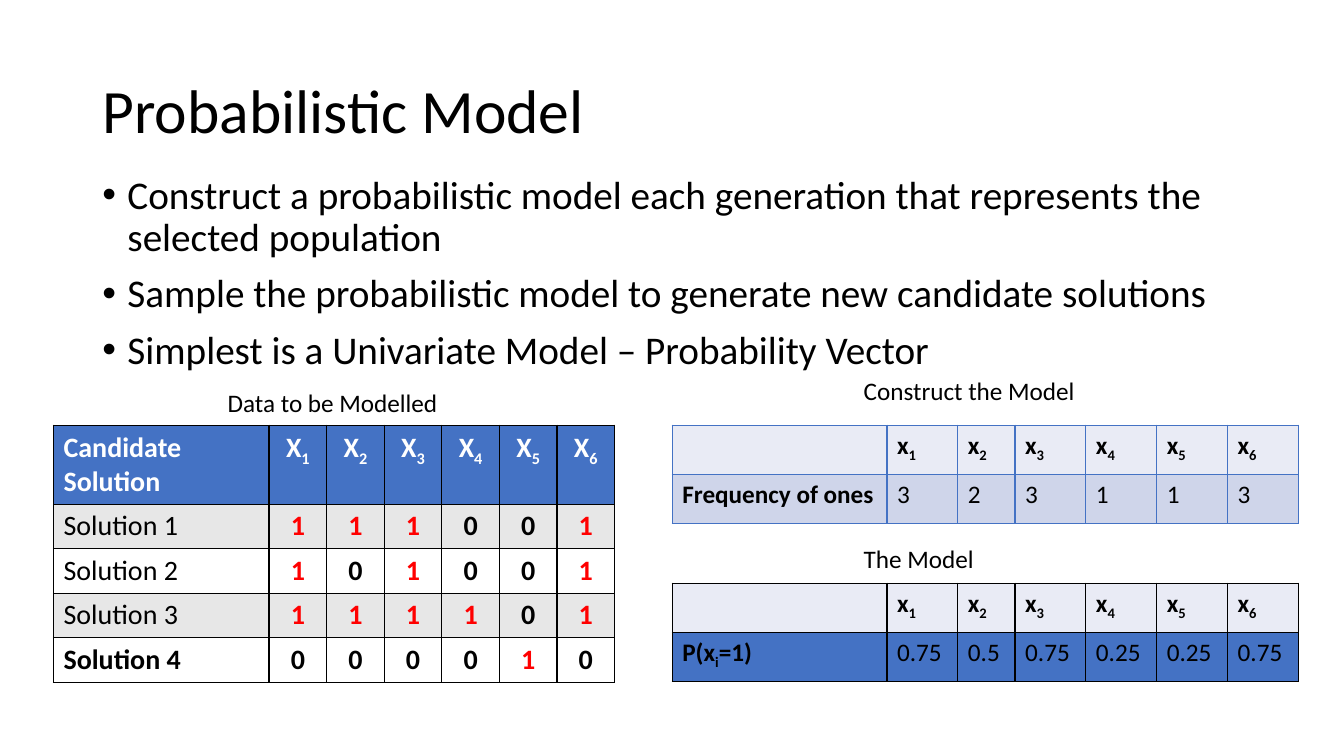
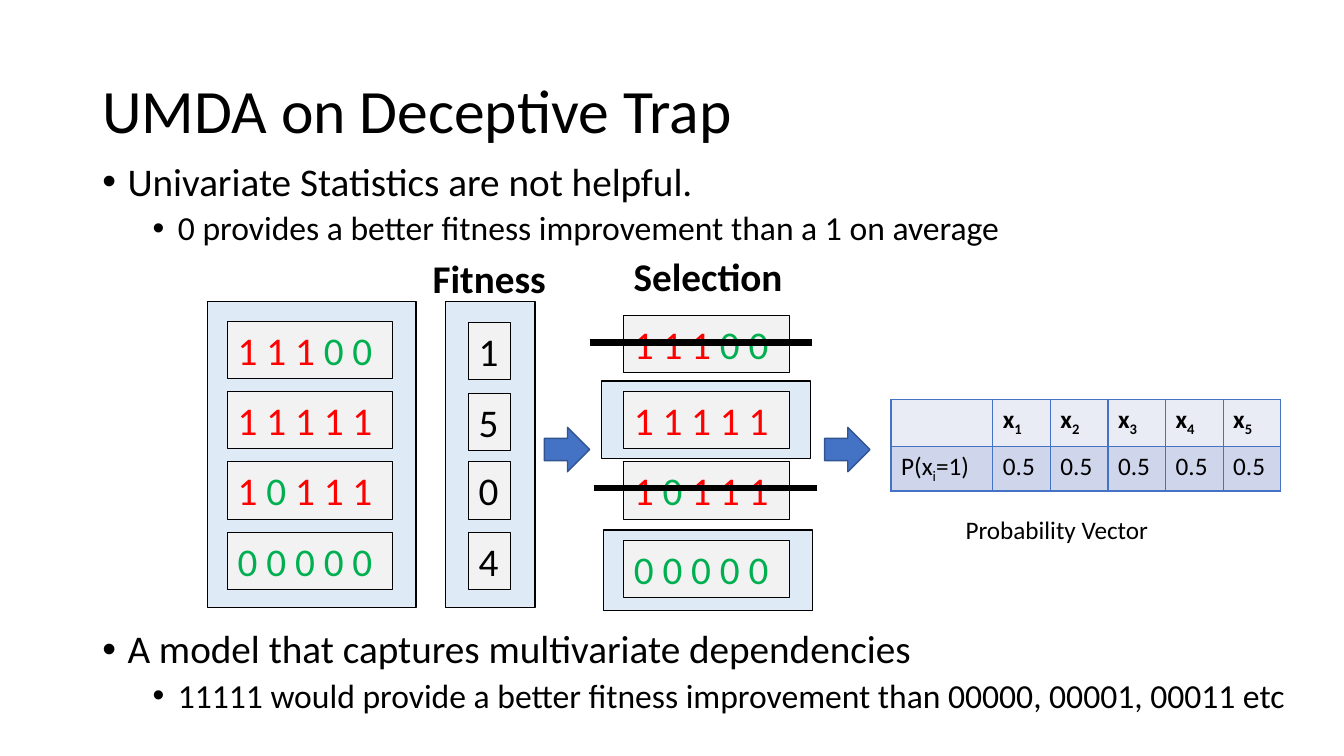
"""Build two slides on probabilistic models and the deceptive trap."""
from pptx import Presentation
from pptx.dml.color import RGBColor
from pptx.enum.shapes import MSO_CONNECTOR, MSO_SHAPE
from pptx.enum.text import MSO_ANCHOR as ANCHOR, MSO_AUTO_SIZE as AUTO, PP_ALIGN as ALIGN
from pptx.oxml.ns import qn
from pptx.util import Pt
from lxml.etree import SubElement

FONT = "Calibri"
BLACK, WHITE, RED, GREEN = "000000", "FFFFFF", "FF0000", "00B050"
BLUE, DARK_BLUE, PANEL, BOX = "4472C4", "325491", "DEEBF7", "F2F2F2"
PALE, BAND, GREY = "E9EBF5", "CFD5EA", "E7E7E7"
rgb = RGBColor.from_string


def add_text(p, text, size, color=BLACK, bold=False):
    """Add runs to a paragraph; the letter after an underscore is a subscript."""
    head, *tails = text.split("_")
    pieces = [(head, False)]
    for tail in tails:
        pieces += [(tail[0], True), (tail[1:], False)]
    for piece, subscript in pieces:
        if piece:
            r = p.add_run()
            r.text = piece
            r.font.name, r.font.size, r.font.bold = FONT, Pt(size), bold
            r.font.color.rgb = rgb(color)
            if subscript:
                r.font._element.set("baseline", "-25000")


def add_box(s, kind, at, fill, line, width):
    """Add a filled, outlined shape and return its text frame."""
    sp = s.shapes.add_shape(kind, *map(Pt, at))
    sp.shadow.inherit = False
    sp.fill.solid()
    sp.fill.fore_color.rgb = rgb(fill)
    sp.line.color.rgb = rgb(line)
    sp.line.width = Pt(width)
    tf = sp.text_frame
    tf.vertical_anchor = ANCHOR.TOP
    tf.paragraphs[0].alignment = ALIGN.LEFT
    return tf


prs = Presentation()
prs.slide_width, prs.slide_height = Pt(960), Pt(540)

slides = []
for title in ("Probabilistic Model", "UMDA on Deceptive Trap"):
    s = prs.slides.add_slide(prs.slide_layouts[5])
    sp = s.shapes.title
    sp.left, sp.top, sp.width, sp.height = map(Pt, (66, 28.8, 828, 104.4))
    tf = sp.text_frame
    tf.auto_size, tf.vertical_anchor = AUTO.NONE, ANCHOR.MIDDLE
    p = tf.paragraphs[0]
    p.alignment, p.line_spacing = ALIGN.LEFT, 0.9
    add_text(p, title, 44)
    slides.append(s)
model, trap = slides

bullet_boxes = [
    (model, (66, 121.7, 828, 364.3), [
        (0, "Construct a probabilistic model each generation that represents the selected population"),
        (0, "Sample the probabilistic model to generate new candidate solutions"),
        (0, "Simplest is a Univariate Model – Probability Vector")]),
    (trap, (66, 112.3, 877, 72), [
        (0, "Univariate Statistics are not helpful."),
        (1, "0 provides a better fitness improvement than a 1 on average")]),
    (trap, (66, 446.4, 877, 72), [
        (0, "A model that captures multivariate dependencies"),
        (1, "11111 would provide a better fitness improvement than 00000, 00001, 00011 etc")]),
]
for s, at, items in bullet_boxes:
    tf = s.shapes.add_textbox(*map(Pt, at)).text_frame
    tf.word_wrap = True
    for i, (level, text) in enumerate(items):
        p = tf.add_paragraph() if i else tf.paragraphs[0]
        pPr = p._p.get_or_add_pPr()
        pPr.set("marL", str(Pt(18 + 36 * level)))
        pPr.set("indent", str(Pt(-18)))
        SubElement(pPr, qn("a:buFont")).set("typeface", "Arial")
        SubElement(pPr, qn("a:buChar")).set("char", "•")
        p.level, p.line_spacing = level, 0.9
        if i:
            p.space_before = Pt(5 if level else 10)
        add_text(p, text, 24 if level else 28)

captions = [
    (model, (155.5, 272.9, 166.3, 29), "Data to be Modelled", 18),
    (model, (609.8, 264.2, 167, 29), "Construct the Model", 18),
    (model, (609.8, 384.5, 94.3, 29), "The Model", 18),
    (trap, (682.6, 363.6, 150.5, 29), "Probability Vector", 18),
    (trap, (267.8, 177.8, 163.4, 41), "Fitness", 28),
    (trap, (424.1, 176.4, 163.4, 41), "Selection", 28),
]
for s, at, text, size in captions:
    tf = s.shapes.add_textbox(*map(Pt, at)).text_frame
    heading = size == 28
    tf.word_wrap = heading
    p = tf.paragraphs[0]
    p.alignment = ALIGN.CENTER if heading else ALIGN.LEFT
    add_text(p, text, size, bold=heading)

x_names = [f"x_{i}" for i in range(1, 7)]
solutions = ["111001", "101001", "111101", "000010"]
model_widths = [153.4, 50.6, 40.9] + [50.6] * 4
tables = [
    (model, (38.2, 303.8), [154] + [41.15] * 6, [56.4] + [31.8] * 4, BLACK,
     [BLUE, GREY, WHITE, GREY, WHITE], 20, "Solution 4",
     [["Candidate Solution"] + [name.upper() for name in x_names]]
     + [[f"Solution {i}", *bits] for i, bits in enumerate(solutions, 1)]),
    (model, (480.2, 303.8), model_widths, [35, 35], BLUE, [PALE, BAND], 18, "Frequency of ones",
     [["", *x_names], ["Frequency of ones", *"323113"]]),
    (model, (480.2, 416.6), model_widths, [35, 35], BLACK, [PALE, BLUE], 18, "P(x_i=1)",
     [["", *x_names], ["P(x_i=1)", "0.75", "0.5", "0.75", "0.25", "0.25", "0.75"]]),
    (trap, (636.5, 285.4), [72.7] + [41.15] * 5, [33.4, 32], BLUE, [PALE, BAND], 18, None,
     [["", *x_names[:5]], ["P(x_i=1)"] + ["0.5"] * 5]),
]
for s, (left, top), widths, heights, border, fills, size, bold_label, rows in tables:
    table = s.shapes.add_table(len(rows), len(widths), Pt(left), Pt(top),
                               Pt(sum(widths)), Pt(sum(heights))).table
    table.first_row = table.horz_banding = False
    for col, width in zip(table.columns, widths):
        col.width = Pt(width)
    for i, row in enumerate(rows):
        table.rows[i].height = Pt(heights[i])
        for j, text in enumerate(row):
            cell = table.cell(i, j)
            tcPr = cell._tc.get_or_add_tcPr()
            for side in ("a:lnL", "a:lnR", "a:lnT", "a:lnB"):
                ln = SubElement(tcPr, qn(side), w=str(Pt(1)))
                SubElement(SubElement(ln, qn("a:solidFill")), qn("a:srgbClr")).set("val", border)
            cell.fill.solid()
            cell.fill.fore_color.rgb = rgb(fills[i])
            bits = size == 20 and j > 0
            color = BLACK
            if size == 20 and i == 0:
                color = WHITE
            elif bits and text == "1":
                color = RED
            p = cell.text_frame.paragraphs[0]
            p.alignment = ALIGN.CENTER if bits else ALIGN.LEFT
            add_text(p, text, size, color, i == 0 or bits or text == bold_label)

panels = [(148.3, 215.3, 149, 218.9), (318.2, 215.3, 64.1, 218.9),
          (429.8, 272.2, 149, 55.4), (431.3, 378.7, 149, 57.6)]
for at in panels:
    add_box(trap, MSO_SHAPE.RECTANGLE, at, PANEL, BLACK, 1)

population = ["11100", "11111", "10111", "00000"]
columns = [
    (162.7, 118, [229.7, 279.4, 329.8, 380.2], population),
    (334.8, 30.2, [230.4, 280.8, 329.8, 380.2], "1504"),
    (445.7, 118, [225.4, 279.4, 329.8, 385.9], population),
]
for left, width, tops, values in columns:
    for top, value in zip(tops, values):
        tf = add_box(trap, MSO_SHAPE.RECTANGLE, (left, top, width, 41), BOX, BLACK, 0.75)
        tf.word_wrap = True
        for i, bit in enumerate(value):
            color = BLACK if len(value) == 1 else RED if bit == "1" else GREEN
            add_text(tf.paragraphs[0], bit if i == len(value) - 1 else bit + " ", 28, color)

for left in (388.8, 589):
    add_box(trap, MSO_SHAPE.RIGHT_ARROW, (left, 305.3, 32.4, 31.7), BLUE, DARK_BLUE, 1)

for left, right, y in ((421.2, 580.3, 244.8), (424.1, 583.9, 348.5)):
    strike = trap.shapes.add_connector(MSO_CONNECTOR.STRAIGHT, Pt(left), Pt(y), Pt(right), Pt(y))
    strike.line.color.rgb = rgb(BLACK)
    strike.line.width = Pt(4.75)
    SubElement(strike._element.spPr, qn("a:effectLst"))

prs.save("out.pptx")
